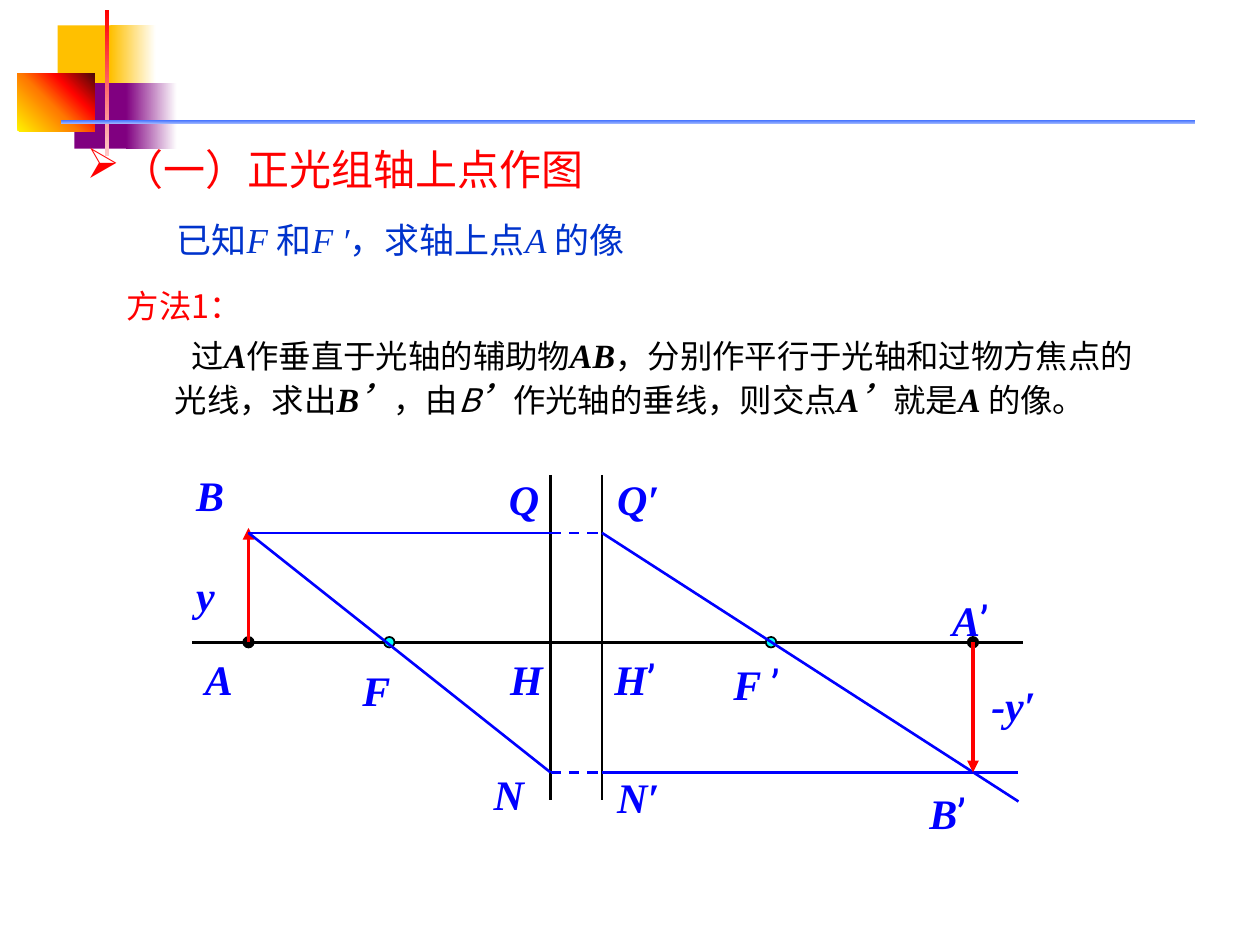
from dataclasses import dataclass
from lxml.etree import SubElement
from pptx import Presentation
from pptx.dml.color import RGBColor
from pptx.enum.dml import MSO_LINE
from pptx.enum.shapes import MSO_CONNECTOR, MSO_SHAPE
from pptx.enum.text import MSO_ANCHOR, MSO_AUTO_SIZE, PP_ALIGN
from pptx.oxml.ns import qn
from pptx.util import Pt


@dataclass(frozen=True)
class Theme:
    red: str = "FF0000"
    blue: str = "0000FF"
    navy: str = "0033CC"
    black: str = "000000"
    cyan: str = "00FFFF"
    gold: str = "FFC000"
    plum: str = "800080"
    white: str = "FFFFFF"
    han: str = "Noto Sans CJK SC"
    serif: str = "Times New Roman"
    mark: str = "Roboto"
    head: float = 24
    title: float = 20
    body: float = 18.5
    math: float = 19.4


T = Theme()


def rgb(code):
    return RGBColor.from_string(code)


def add_box(slide, kind, x, y, w, h):
    shape = slide.shapes.add_shape(kind, Pt(x), Pt(y), Pt(w), Pt(h))
    shape.shadow.inherit = False
    return shape


def paint(shape, color):
    shape.fill.solid()
    shape.fill.fore_color.rgb = rgb(color)


def shade(shape, stops, angle):
    shape.fill.gradient()
    grad = shape.element.spPr.find(qn("a:gradFill"))
    for child in list(grad):
        grad.remove(child)
    group = SubElement(grad, qn("a:gsLst"))
    for place, color in stops:
        stop = SubElement(group, qn("a:gs"), pos=str(place * 1000))
        SubElement(stop, qn("a:srgbClr"), val=color)
    SubElement(grad, qn("a:lin"), ang=str(angle * 60000), scaled="0")


def add_line(slide, start, end, color, width=1.5, dash=False, arrow=False):
    line = slide.shapes.add_connector(
        MSO_CONNECTOR.STRAIGHT, *(Pt(n) for n in (*start, *end)))
    line.line.color.rgb = rgb(color)
    line.line.width = Pt(width)
    if dash:
        line.line.dash_style = MSO_LINE.DASH
    if arrow:
        SubElement(line.line._get_or_add_ln(), qn("a:tailEnd"), type="triangle")
    SubElement(line.element.spPr, qn("a:effectLst"))


def add_text(slide, x, y, w, h):
    frame = slide.shapes.add_textbox(Pt(x), Pt(y), Pt(w), Pt(h)).text_frame
    frame.word_wrap = True
    return frame


def add_run(para, text, face, east, bold=None, slant=None, size=None):
    run = para.add_run()
    run.text = text
    font = run.font
    font.name, font.bold, font.italic = face, bold, slant
    if size:
        font.size = Pt(size)
    SubElement(run._r.get_or_add_rPr(), qn("a:ea"), typeface=east)


def style(para, size, color):
    para.font.size = Pt(size)
    para.font.color.rgb = rgb(color)


def indent(para, left, first):
    props = para._p.get_or_add_pPr()
    props.set("marL", str(Pt(left)))
    props.set("indent", str(Pt(first)))
    return props


def add_decor(slide, x, y):
    parts = (
        (23, 8.5, 35, 37.5, [T.gold], 0),
        (53, 8.5, 26, 37.5, [(0, T.gold), (100, T.white)], 0),
        (32.5, 41.5, 33, 37.5, [T.plum], 0),
        (62, 41.5, 29, 37.5, [(0, T.plum), (100, T.white)], 0),
        (0, 36, 44, 33, [(0, "FFF200"), (45, "FF7A00"),
                         (70, "FF0300"), (100, "4D0808")], 315),
        (50, 0, 2.2, 83, [(0, T.red), (100, "FFC9C9")], 90),
        (25, 62.4, 648, 2.5, [(0, "3366FF"), (100, "A2B9FF")], 90),
    )
    for dx, dy, w, h, tones, angle in parts:
        shape = add_box(slide, MSO_SHAPE.RECTANGLE, x + dx, y + dy, w, h)
        if len(tones) == 1:
            paint(shape, tones[0])
        else:
            shade(shape, tones, angle)
        shape.line.fill.background()


def add_head(slide, x, y, w, h):
    frame = add_text(slide, x, y, w, h)
    frame.vertical_anchor = MSO_ANCHOR.MIDDLE
    para = frame.paragraphs[0]
    SubElement(indent(para, 20, -20), qn("a:buChar"), char="➢")
    style(para, T.head, T.red)
    add_run(para, "（一）正光组轴上点作图", T.han, T.han)


def set_title(slide, x, y, w, h):
    title = slide.shapes.title
    title.left, title.top, title.width, title.height = Pt(x), Pt(y), Pt(w), Pt(h)
    frame = title.text_frame
    frame.auto_size = MSO_AUTO_SIZE.NONE
    frame.vertical_anchor = MSO_ANCHOR.MIDDLE
    para = frame.paragraphs[0]
    para.alignment = PP_ALIGN.LEFT
    para.line_spacing = Pt(24)
    style(para, T.title, T.navy)
    parts = ("已知", "F ", "和", "F ′", "，求轴上点", "A ", "的像")
    for order, text in enumerate(parts):
        math = order % 2 == 1
        add_run(para, text, T.serif if math else T.han, T.han, slant=math)


def add_body(slide, x, y, w, h):
    frame = add_text(slide, x, y, w, h)
    lead = frame.paragraphs[0]
    lead.line_spacing = Pt(17)
    style(lead, T.body, T.red)
    add_run(lead, "方法1：", T.han, T.han)
    para = frame.add_paragraph()
    indent(para, 27.4, 9.5)
    para.line_spacing, para.space_before = Pt(25), Pt(3.8)
    style(para, T.body, T.black)
    parts = ("过", "A", "作垂直于光轴的辅助物", "AB",
             "，分别作平行于光轴和过物方焦点的光线，求出", "B’", "，由",
             ("B", "’"), "作光轴的垂线，则交点", "A’", "就是", "A", " 的像。")
    for order, text in enumerate(parts):
        if order % 2 == 0:
            add_run(para, text, T.han, T.han)
            continue
        if isinstance(text, tuple):
            plain, text = text
            add_run(para, plain, T.han, T.han, slant=True)
        add_run(para, text, T.serif, T.han, True, True, T.math)


def add_label(slide, text, x, y, w=54):
    frame = add_text(slide, x, y, w, 36)
    frame.margin_top = Pt(6.5)
    para = frame.paragraphs[0]
    style(para, T.head, T.blue)
    add_run(para, text.rstrip("’"), T.serif, T.serif, True, True)
    if text.endswith("’"):
        add_run(para, "’", T.mark, T.mark)


def add_scheme(slide, x, y, w, h):
    axis, top, low = 105, 42.5, 179.4
    left, right = 204.6, 234
    near, far = 32, 446

    def draw(x1, y1, x2, y2, color, **more):
        add_line(slide, (x + x1, y + y1), (x + x2, y + y2), color, **more)

    draw(0, axis, w, axis, T.black)
    for plane in (left, right):
        draw(plane, 9.4, plane, h, T.black)
    for spot, color in ((near, T.black), (112.5, T.cyan),
                        (330.6, T.cyan), (far, T.black)):
        dot = add_box(slide, MSO_SHAPE.OVAL, x + spot - 3, y + axis - 3, 6, 6)
        paint(dot, color)
        dot.line.color.rgb = rgb(T.black)
        dot.line.width = Pt(1)

    draw(near, axis, near, 39.7, T.red, width=2.25, arrow=True)
    draw(near, top, left, top, T.blue)
    draw(left, top, right, top, T.blue, dash=True)
    draw(right, top, 472, 196, T.blue)
    draw(near, top, left, low, T.blue)
    draw(left, low, right, low, T.blue, dash=True)
    draw(right, low, 472, low, T.blue)
    draw(far, axis, far, low, T.red, width=2.25, arrow=True)

    labels = (("A", 0, axis), ("A’", 427, 71.4), ("F", 90, 111),
              ("F ’", 302, 108), ("H", 174.4, axis), ("H’", right, axis),
              ("B", -5, 0), ("B’", 414, 181.5), ("Q", 173.7, 2.2),
              ("Q′", 235.6, 2.2), ("N", 165, 170.7), ("N′", 235.6, 172.2),
              ("y", -5, 57, 27.4), ("-y′", 449.4, 119.6, 50))
    for text, dx, dy, *wide in labels:
        add_label(slide, text, x + dx, y + dy, *wide)


def main():
    deck = Presentation()
    deck.slide_width, deck.slide_height = Pt(720), Pt(540)
    slide = deck.slides.add_slide(deck.slide_layouts[5])
    add_decor(slide, 10, 6)
    add_head(slide, 42.5, 75.6, 340, 42)
    set_title(slide, 93.6, 117.4, 294.5, 39)
    add_body(slide, 65.5, 165, 596, 83)
    add_scheme(slide, 110, 262, 474.5, 195)
    deck.save("out.pptx")


if __name__ == "__main__":
    main()
